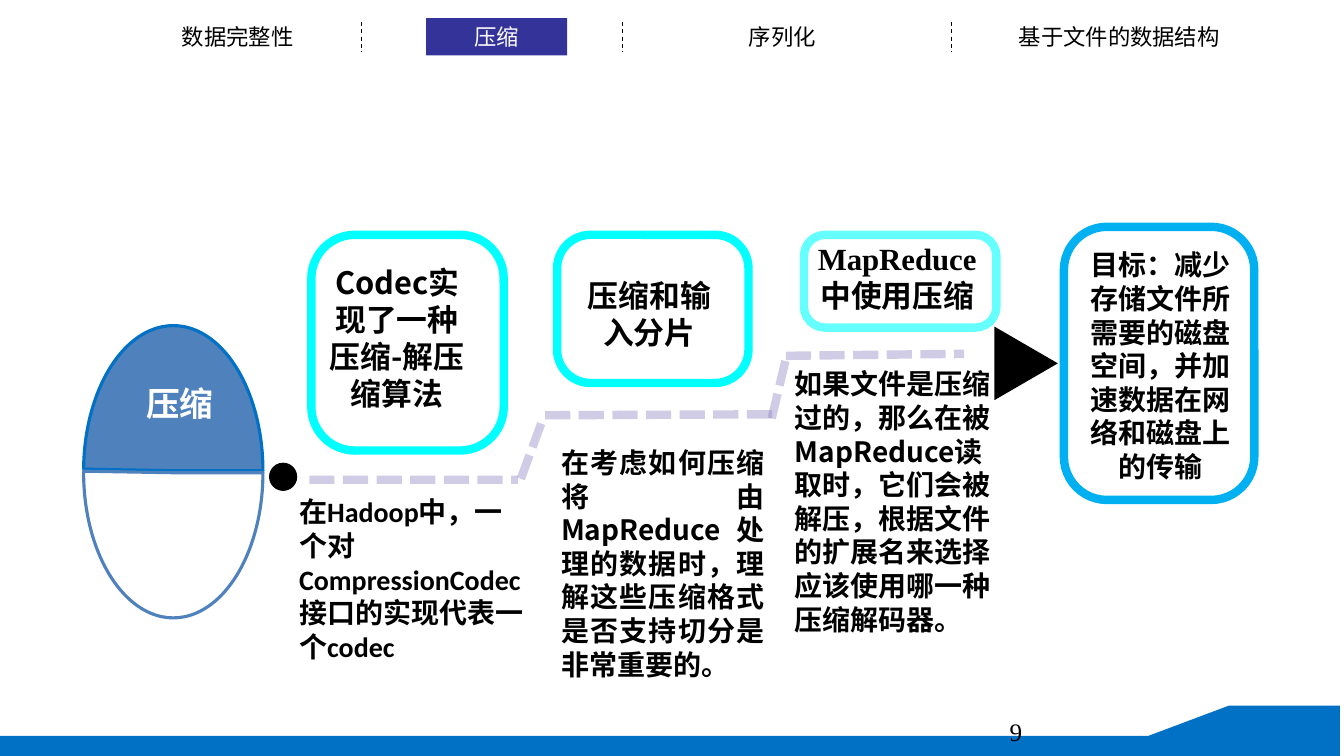
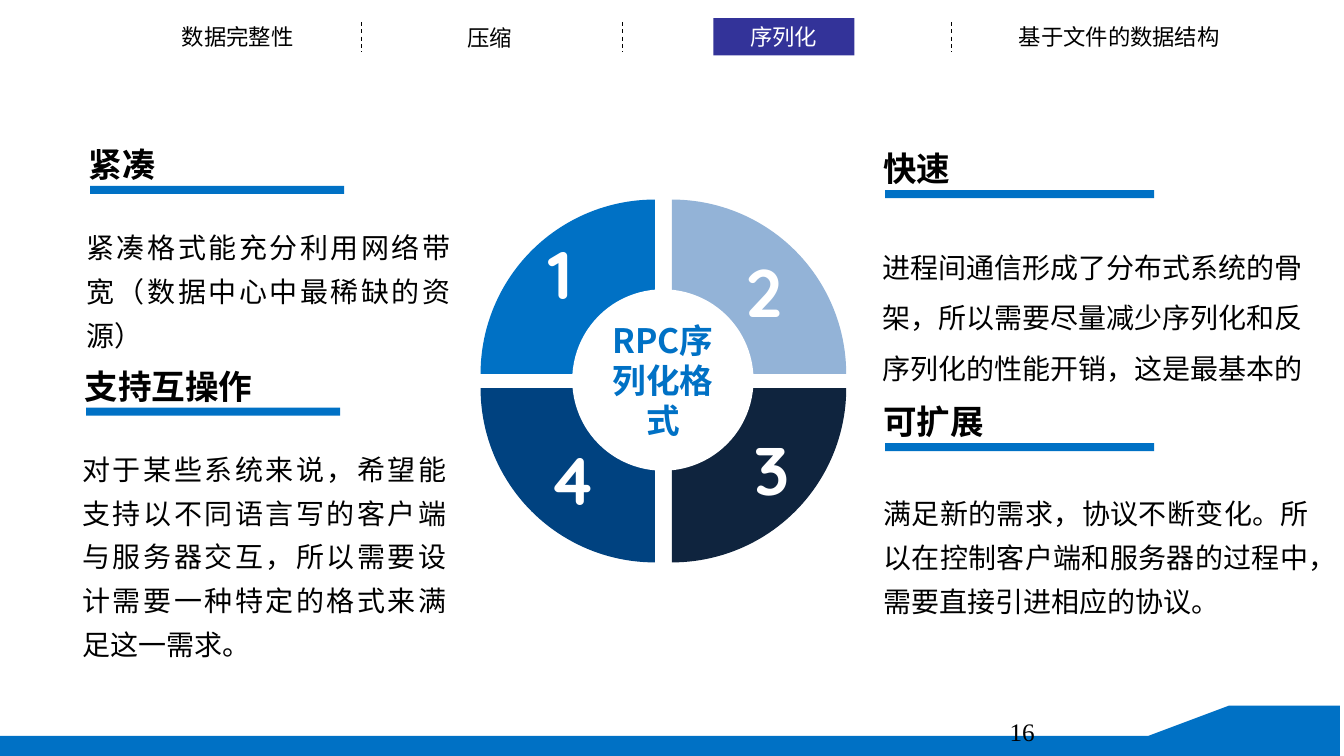
from lxml.etree import SubElement
from pptx import Presentation
from pptx.dml.color import RGBColor
from pptx.enum.dml import MSO_LINE as Dash
from pptx.enum.shapes import MSO_CONNECTOR as Connector, MSO_SHAPE as Shape
from pptx.enum.text import MSO_ANCHOR as Anchor, PP_ALIGN as Align
from pptx.oxml.ns import qn
from pptx.util import Inches, Pt

COLUMNS, ROWS = 133.4, 75
CELL = Inches(0.1)
COLORS = {
    "black": "000000", "white": "FFFFFF", "blue": "0071C5", "steel": "4F81BD",
    "active": "333399", "lilac": "897DC1", "cyan": "00FFFF", "aqua": "66FFFF",
    "sky": "00B0F0", "pale": "93B3D7", "deep": "004280", "navy": "0F243E",
}
SANS, SERIF = "Noto Sans CJK SC", "Times New Roman"
TABS = [
    ("数据完整性", (16.4, 1.8, 14.4, 3.7), None),
    ("压缩", (35.9, 1.9, 25.4, 3.7), 42.3),
    ("序列化", (65, 1.8, 25.3, 3.7), 70.8),
    ("基于文件的数据结构", (99.2, 1.8, 23.8, 3.7), None),
]
DIVIDERS = (35.9, 61.8, 94.4)


def grid(*cells):
    """Turn counts of grid cells into lengths."""
    return [round(cell * CELL) for cell in cells]


def color(name):
    """Look up a palette colour."""
    return RGBColor.from_string(COLORS[name])


def write(shape, text, size, font=SANS, ink="black", bold=False,
          align=Align.LEFT, anchor=Anchor.TOP, spacing=None):
    """Put one styled paragraph into a shape."""
    frame = shape.text_frame
    frame.text = text
    frame.word_wrap = True
    frame.vertical_anchor = anchor
    paragraph = frame.paragraphs[0]
    paragraph.alignment = align
    if spacing:
        paragraph.line_spacing = spacing
    for run in paragraph.runs:
        run.font.size = Pt(size)
        run.font.bold = bold
        run.font.color.rgb = color(ink)
        run.font.name = font
        SubElement(run.font._element, qn("a:ea"), typeface=SANS)


def add_text(slide, box, text, size, **style):
    """Add a text box."""
    shape = slide.shapes.add_textbox(*grid(*box))
    write(shape, text, size, **style)
    return shape


def paint(shape, fill=None, line=None, width=6.0):
    """Set fill and outline, and drop the shadow."""
    shape.shadow.inherit = False
    if fill:
        shape.fill.solid()
        shape.fill.fore_color.rgb = color(fill)
    else:
        shape.fill.background()
    if line:
        shape.line.color.rgb = color(line)
        shape.line.width = Pt(width)
    else:
        shape.line.fill.background()


def add_shape(slide, kind, box, **look):
    """Add a painted preset shape."""
    shape = slide.shapes.add_shape(kind, *grid(*box))
    paint(shape, **look)
    return shape


def add_pie(slide, box, start, end, **look):
    """Add a pie running clockwise between two angles in degrees."""
    pie = add_shape(slide, Shape.PIE, box, **look)
    pie.adjustments[0] = start * 0.6
    pie.adjustments[1] = end * 0.6


def add_line(slide, start, end, ink, width, dash, opacity=None):
    """Add a dashed straight line."""
    line = slide.shapes.add_connector(Connector.STRAIGHT, *grid(*start, *end))
    line.line.color.rgb = color(ink)
    line.line.width = Pt(width)
    line.line.dash_style = dash
    SubElement(line._element.spPr, qn("a:effectLst"))
    if opacity:
        tint = line._element.spPr.find(".//" + qn("a:srgbClr"))
        SubElement(tint, qn("a:alpha"), val=str(opacity * 1000))


def add_card(slide, box, line, text_box, text, size, font=SANS):
    """Add a rounded outline with a bold caption."""
    card = add_shape(slide, Shape.ROUNDED_RECTANGLE, box, line=line)
    card.adjustments[0] = 0.226
    add_text(slide, text_box, text, size, font=font, bold=True, align=Align.CENTER)


def add_section(slide, left, top, heading, body, bar_width, body_box, **style):
    """Add an underlined heading with its body text."""
    add_text(slide, (left, top, 42, 5), heading, 24, bold=True)
    add_shape(slide, Shape.RECTANGLE, (left + 1.15, top + 4.65, bar_width, 0.8), fill="blue")
    shift, drop, width, height = body_box
    add_text(slide, (left + shift, top + drop, width, height), body, 20, **style)


def add_frame(presentation, active, number):
    """Start a slide with the footer band, tabs and page number."""
    slide = presentation.slides.add_slide(presentation.slide_layouts[6])
    builder = slide.shapes.build_freeform(COLUMNS, 70.1, scale=CELL)
    builder.add_line_segments([(121.6, 70), (113.9, 73.4), (0, 73.3), (0, ROWS), (COLUMNS, ROWS)])
    paint(builder.convert_to_shape(), fill="blue")
    for label, box, active_left in TABS:
        if label == active:
            tab = add_shape(slide, Shape.RECTANGLE, (active_left, 1.8, 14, 3.7), fill="active")
            write(tab, label, 16, ink="white", align=Align.CENTER)
        else:
            add_text(slide, box, label, 16, align=Align.CENTER)
    for x in DIVIDERS:
        add_line(slide, (x, 2.2), (x, 5.2), "black", 0.75, Dash.DASH)
    page = add_text(slide, (100.2, 70.6, 31.1, 4), number, 18, font=SERIF, anchor=Anchor.MIDDLE)
    frame = page.text_frame
    frame.margin_left = frame.margin_right = frame.margin_top = frame.margin_bottom = 0
    return slide


def add_compression(presentation):
    """Build the slide on compression."""
    slide = add_frame(presentation, "压缩", "9")
    add_shape(slide, Shape.OVAL, (26.7, 45.9, 2.8, 2.8), fill="black")
    steps = [
        ((30.7, 47.6), (51.4, 47.6)), ((54.1, 41.2), (77.1, 41.1)),
        ((78, 35.3), (95.7, 35.1)), ((51.7, 47.5), (53.8, 41.8)),
        ((76.6, 41.5), (78.1, 35.2)),
    ]
    for start, end in steps:
        add_line(slide, start, end, "lilac", 6, Dash.SQUARE_DOT, opacity=39)
    notes = [
        ((28.7, 48.6, 24.5, 21), "在Hadoop中，一个对CompressionCodec接口的实现代表一个codec",
         "Calibri", Align.LEFT),
        ((54.7, 43.7, 22.2, 24.4),
         "在考虑如何压缩将由MapReduce处理的数据时，理解这些压缩格式是否支持切分是非常重要的。",
         SANS, Align.JUSTIFY),
        ((77.9, 35.9, 21.6, 31),
         "如果文件是压缩过的，那么在被MapReduce读取时，它们会被解压，"
         "根据文件的扩展名来选择应该使用哪一种压缩解码器。", SANS, Align.LEFT),
    ]
    for box, text, font, align in notes:
        add_text(slide, box, text, 20, font=font, bold=True, align=align)
    cards = [
        ((30.9, 23.3, 19.1, 21.4), "cyan", (30.8, 25.7, 17.2, 15.7),
         "Codec实现了一种压缩-解压缩算法", 22),
        ((55.3, 23.3, 19, 14.7), "cyan", (55.9, 27, 17.1, 8.4), "压缩和输入分片", 22, SERIF),
        ((79.8, 23.3, 19.1, 9.2), "aqua", (79, 23.3, 20.1, 8.4),
         "MapReduce中使用压缩", 22, SERIF),
        ((105.6, 22.5, 18.9, 27.1), "sky", (106.6, 24.1, 17.2, 24.4),
         "目标：减少存储文件所需要的磁盘空间，并加速数据在网络和磁盘上的传输", 20),
    ]
    for card in cards:
        add_card(slide, *card)
    arrow = add_shape(slide, Shape.ISOSCELES_TRIANGLE, (98.2, 32.9, 7.3, 6.3), fill="black")
    arrow.rotation = 90
    add_pie(slide, (8.3, 32.3, 17.8, 28.8), 181, 0, fill="steel", line="blue", width=2.25)
    add_pie(slide, (8.3, 32.5, 17.8, 28.8), 0, 181, line="steel", width=2.25)
    add_text(slide, (11.8, 37.5, 12.1, 5), "压缩", 24, font=SERIF, ink="white",
             bold=True, align=Align.CENTER)


def add_serialization(presentation):
    """Build the slide on serialization formats."""
    slide = add_frame(presentation, "序列化", "16")
    left_body = {"align": Align.JUSTIFY, "spacing": 1.3}
    add_section(slide, 7.8, 13.8, "紧凑", "紧凑格式能充分利用网络带宽（数据中心中最稀缺的资源）",
                25.2, (-0.2, 7.6, 38.1, 14), **left_body)
    add_section(slide, 7.4, 35.8, "支持互操作",
                "对于某些系统来说，希望能支持以不同语言写的客户端与服务器交互，"
                "所以需要设计需要一种特定的格式来满足这一需求。",
                25.2, (-0.2, 7.6, 38.1, 22.7), **left_body)
    add_section(slide, 86.7, 14.2, "快速",
                "进程间通信形成了分布式系统的骨架，所以需要尽量减少序列化和反序列化的性能开销，这是最基本的",
                26.7, (-0.1, 8.5, 44.2, 16), font="Cabin", spacing=1.5)
    add_section(slide, 86.7, 39.3, "可扩展",
                "满足新的需求，协议不断变化。所以在控制客户端和服务器的过程中，需要直接引进相应的协议。",
                26.7, (0, 8.5, 44.2, 19), **left_body)
    quarters = [
        ("1", 47.7, 19.8, 180, "blue", (51.4, 22.6)),
        ("2", 49.4, 19.8, 270, "pale", (71.6, 24.3)),
        ("3", 49.4, 21.2, 0, "navy", (72.4, 42)),
        ("4", 47.7, 21.2, 90, "deep", (52.6, 43)),
    ]
    for digit, left, top, start, fill, corner in quarters:
        add_pie(slide, (left, top, 34.6, 34.6), start, (start + 90) % 360, fill=fill)
        add_text(slide, (*corner, 8.4, 9), digit, 48, font="Quicksand", ink="white",
                 bold=True, align=Align.CENTER)
    hub = add_shape(slide, Shape.OVAL, (56.8, 28.7, 18, 18), fill="white")
    write(hub, "RPC序列化格式", 24, ink="blue", bold=True,
          align=Align.CENTER, anchor=Anchor.MIDDLE)


def main():
    """Build and save the presentation."""
    presentation = Presentation()
    presentation.slide_width, presentation.slide_height = grid(COLUMNS, ROWS)
    add_compression(presentation)
    add_serialization(presentation)
    presentation.save("out.pptx")


if __name__ == "__main__":
    main()
